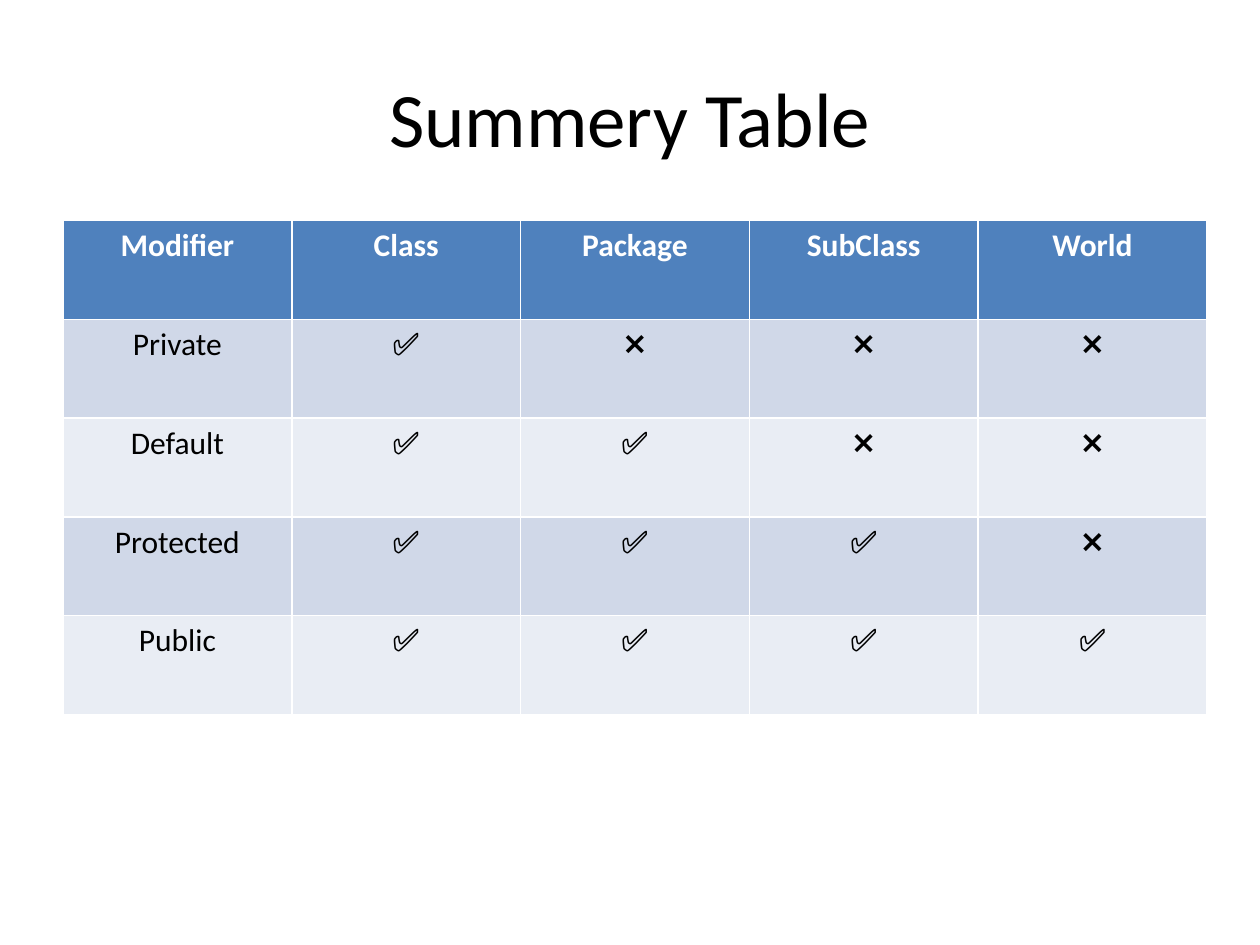
from pptx import Presentation
from pptx.dml.color import RGBColor
from pptx.enum.text import MSO_ANCHOR, PP_ALIGN
from pptx.util import Pt

CENTER = PP_ALIGN.CENTER
MIDDLE = MSO_ANCHOR.MIDDLE
TITLE_ONLY = 5


def color(code):
    return RGBColor.from_string(code)


def write(frame, text, size=18, ink="000000", bold=False):
    para = frame.paragraphs[0]
    para.alignment = CENTER
    run = para.add_run()
    run.text = text
    run.font.name = "Calibri"
    run.font.size = Pt(size)
    run.font.bold = bold
    run.font.color.rgb = color(ink)


deck = Presentation()
deck.slide_width, deck.slide_height = Pt(720), Pt(540)
slide = deck.slides.add_slide(deck.slide_layouts[TITLE_ONLY])

title = slide.shapes.title
title.left, title.top, title.width, title.height = Pt(36), Pt(21.6), Pt(648), Pt(90)
title.text_frame.vertical_anchor = MIDDLE
write(title.text_frame, "Summery Table", size=44)

heads = ["Modifier", "Class", "Package", "SubClass", "World"]
levels = ["Private", "Default", "Protected", "Public"]
scopes = len(heads) - 1
rows = [heads]
for count, level in enumerate(levels, 1):
    rows.append([level] + ["✅"] * count + ["❌"] * (scopes - count))

wide, high = 130.75, 56.45
table = slide.shapes.add_table(
    len(rows), len(heads), Pt(36), Pt(126), Pt(wide * len(heads)), Pt(high * len(rows))
).table
for col in table.columns:
    col.width = Pt(wide)
for row in table.rows:
    row.height = Pt(high)

bands = ["E9EDF4", "D0D8E8"]
for r, row in enumerate(rows):
    head = r == 0
    for c, text in enumerate(row):
        cell = table.cell(r, c)
        cell.fill.solid()
        cell.fill.fore_color.rgb = color("4F81BD" if head else bands[r % 2])
        write(cell.text_frame, text, ink="FFFFFF" if head else "000000", bold=head)

deck.save("out.pptx")
